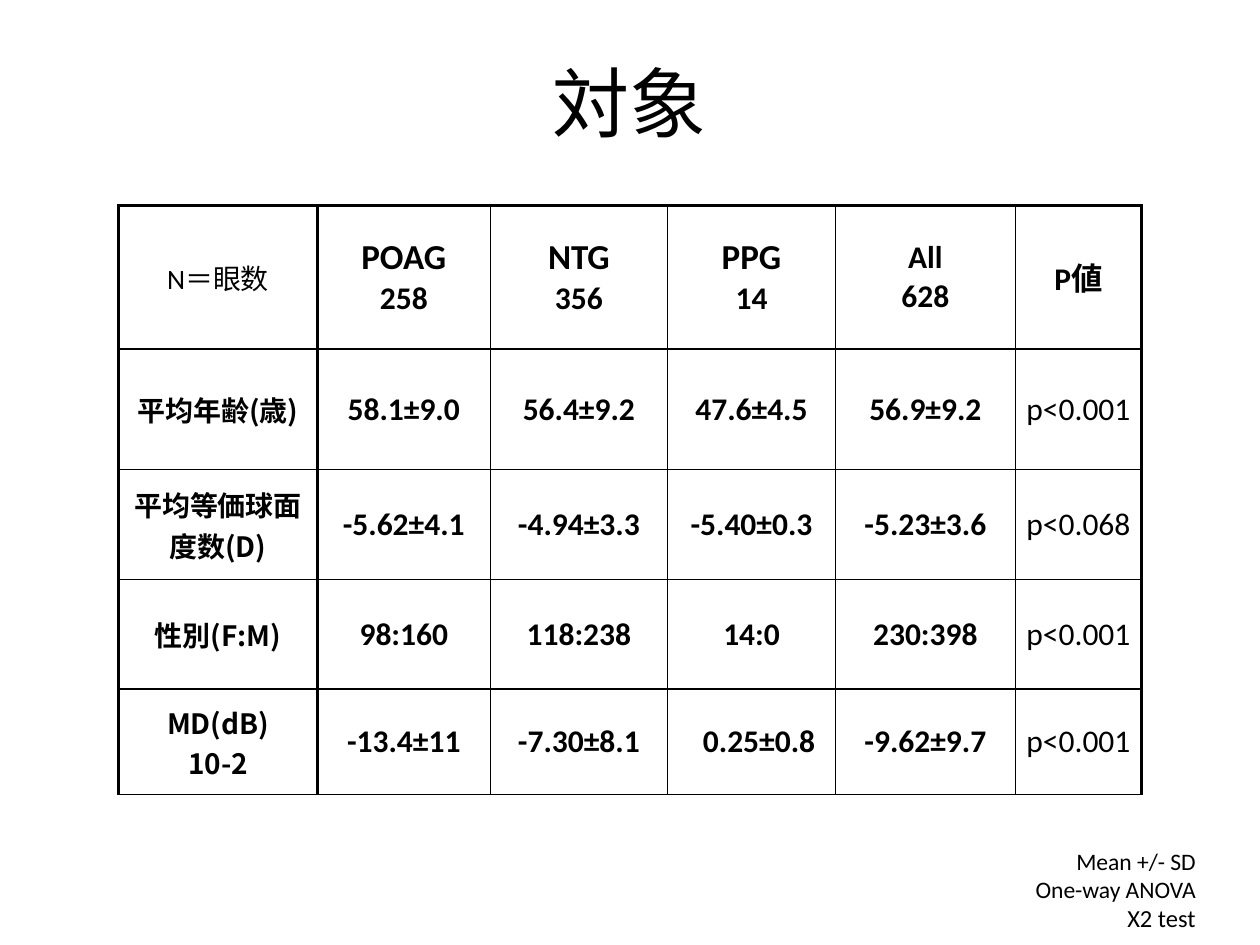
from pptx import Presentation
from pptx.dml.color import RGBColor
from pptx.enum.text import MSO_ANCHOR as Anchor, MSO_AUTO_SIZE as AutoSize, PP_ALIGN as Align
from pptx.oxml import parse_xml
from pptx.oxml.ns import nsdecls
from pptx.util import Inches, Pt

BLACK = RGBColor(0, 0, 0)
LATIN, JAPANESE = "Calibri", "Noto Sans CJK JP"

TITLE = "対象"
HEADER = ["N＝眼数", "POAG\n258", "NTG\n356", "PPG\n14", "All\n628", "P値"]
ROWS = [
    ["平均年齢(歳)", "58.1±9.0", "56.4±9.2", "47.6±4.5", "56.9±9.2", "p<0.001"],
    ["平均等価球面度数(D)", "-5.62±4.1", "-4.94±3.3", "-5.40±0.3", "-5.23±3.6", "p<0.068"],
    ["性別(F:M)", "98:160", "118:238", "14:0", "230:398", "p<0.001"],
    ["MD(dB)\n10-2", "-13.4±11", "-7.30±8.1", "0.25±0.8", "-9.62±9.7", "p<0.001"],
]
NOTES = [("Mean +/- SD", 13.5), ("One-way ANOVA", 13.5), ("X2 test", 14)]
COLUMN_WIDTHS = [1.58, 1.37, 1.41, 1.33, 1.43, 1]
ROW_HEIGHTS = [1.14, 0.96, 0.87, 0.87, 0.84]
TABLE_LEFT, TABLE_TOP = 0.94, 1.63
THICK, THIN = 1.5, 0.75
POSITIVE_VALUE_INDENT = 0.12


def add_line(paragraph, text, size, align, bold=False, font=LATIN):
    paragraph.alignment = align
    run = paragraph.add_run()
    run.text = text
    for name, value in {"size": Pt(size), "bold": bold, "name": font}.items():
        setattr(run.font, name, value)
    run.font.color.rgb = BLACK
    run.font._element.find("{*}latin").addnext(
        parse_xml(f'<a:ea {nsdecls("a")} typeface="{JAPANESE}"/>'))


def set_margins(target, inches):
    for side in ("left", "right", "top", "bottom"):
        setattr(target, f"margin_{side}", Inches(inches))


def set_borders(cell, row, column):
    """Rule the frame, header and first column thick, and the rest thin."""
    last_row, last_column = len(ROWS), len(HEADER) - 1
    thick = {
        "L": column <= 1,
        "R": column in (0, last_column),
        "T": row in (0, 1, last_row),
        "B": row in (0, last_row - 1),
    }
    properties = cell._tc.get_or_add_tcPr()
    for position, (side, is_thick) in enumerate(thick.items()):
        width = Pt(THICK if is_thick else THIN)
        properties.insert(position, parse_xml(
            f'<a:ln{side} {nsdecls("a")} w="{width}"><a:solidFill>'
            f'<a:srgbClr val="{BLACK}"/></a:solidFill></a:ln{side}>'))


def cell_format(row, column, line):
    """Return size, bold and font of one line in a table cell."""
    last_column = len(HEADER) - 1
    if column == 0:
        return (16, False, LATIN) if row == 0 else (16, True, JAPANESE)
    if row == 0:
        return (20 if line == 0 and column < 4 else 18), True, LATIN
    return 18, column < last_column, LATIN


def add_patient_table(slide):
    rows = [HEADER] + ROWS
    table = slide.shapes.add_table(
        len(rows), len(HEADER), Inches(TABLE_LEFT), Inches(TABLE_TOP),
        Inches(sum(COLUMN_WIDTHS)), Inches(sum(ROW_HEIGHTS))).table
    table.first_row = table.horz_banding = False
    for column, width in zip(table.columns, COLUMN_WIDTHS):
        column.width = Inches(width)
    for table_row, height in zip(table.rows, ROW_HEIGHTS):
        table_row.height = Inches(height)
    for row, values in enumerate(rows):
        for column, value in enumerate(values):
            cell = table.cell(row, column)
            cell.fill.background()
            cell.vertical_anchor = Anchor.MIDDLE
            set_margins(cell, 0.07 if row == 0 or column == 0 else 0.06)
            set_borders(cell, row, column)
            frame = cell.text_frame
            for line, text in enumerate(value.split("\n")):
                paragraph = frame.add_paragraph() if line else frame.paragraphs[0]
                add_line(paragraph, text, align=Align.CENTER,
                         **dict(zip(("size", "bold", "font"), cell_format(row, column, line))))
    positive = table.cell(len(ROWS), 3).text_frame.paragraphs[0]
    positive._p.get_or_add_pPr().set("marL", str(Inches(POSITIVE_VALUE_INDENT)))


def add_notes_box(slide):
    frame = slide.shapes.add_textbox(
        Inches(6.81), Inches(6.65), Inches(2.75), Inches(0.43)).text_frame
    frame.word_wrap = True
    set_margins(frame, 0.07)
    for index, (text, size) in enumerate(NOTES):
        paragraph = frame.add_paragraph() if index else frame.paragraphs[0]
        add_line(paragraph, text, size, Align.RIGHT)


def format_title(title):
    title.left, title.top, title.width, title.height = map(Inches, (0.69, 0.4, 8.62, 0.91))
    frame = title.text_frame
    frame.vertical_anchor = Anchor.MIDDLE
    frame.auto_size = AutoSize.NONE
    paragraph = frame.paragraphs[0]
    paragraph.line_spacing = 0.9
    add_line(paragraph, TITLE, 44, Align.CENTER)


def main():
    presentation = Presentation()
    presentation.slide_width, presentation.slide_height = Inches(10), Inches(7.5)
    slide = presentation.slides.add_slide(presentation.slide_layouts[5])
    format_title(slide.shapes.title)
    add_patient_table(slide)
    add_notes_box(slide)
    presentation.save("out.pptx")


if __name__ == "__main__":
    main()
